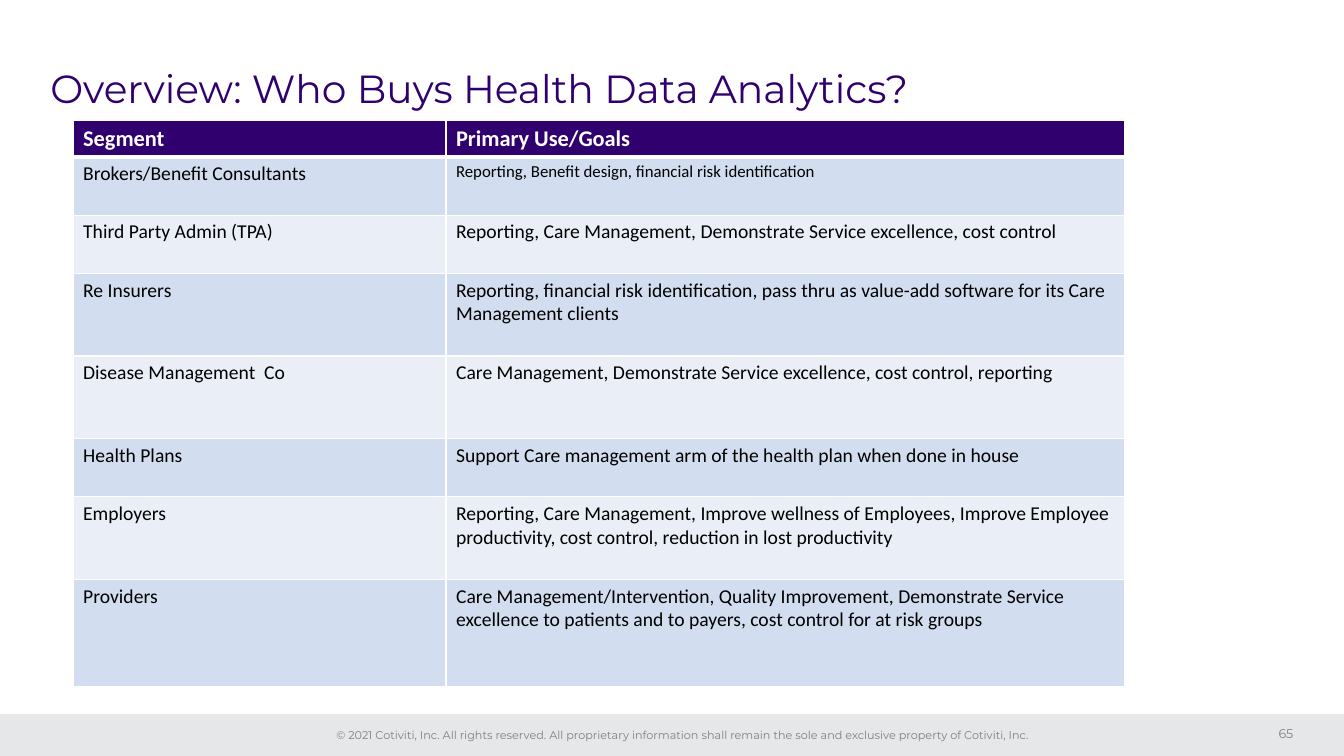
import dataclasses

import lxml.etree
import pptx
import pptx.dml.color
import pptx.enum.shapes
import pptx.enum.text
import pptx.oxml.ns
import pptx.util

Pt = pptx.util.Pt
Align = pptx.enum.text.PP_ALIGN
Anchor = pptx.enum.text.MSO_ANCHOR


@dataclasses.dataclass(frozen=True)
class Theme:
    purple: str = "30006F"
    white: str = "FFFFFF"
    black: str = "000000"
    gray: str = "808080"
    strip: str = "E6E7E8"
    bands: tuple = ("D2DEEF", "EAEFF7")
    display: str = "Montserrat"
    body: str = "Calibri"
    title: int = 28
    head: int = 16
    text: int = 14
    small: int = 12
    page: int = 9
    legal: int = 8


class Deck:
    def __init__(self, theme, width, height):
        self.theme = theme
        self.file = pptx.Presentation()
        self.file.slide_width, self.file.slide_height = Pt(width), Pt(height)
        self.slide = self.file.slides.add_slide(self.file.slide_layouts[6])

    def color(self, code):
        return pptx.dml.color.RGBColor.from_string(code)

    def style(self, frame, face, size, code, bold=False):
        for para in frame.paragraphs:
            for run in para.runs:
                font = run.font
                font.name, font.size, font.bold = face, Pt(size), bold
                font.color.rgb = self.color(code)

    def bar(self, box, code):
        shape = self.slide.shapes.add_shape(
            pptx.enum.shapes.MSO_SHAPE.RECTANGLE, *map(Pt, box))
        shape.shadow.inherit = False
        shape.fill.solid()
        shape.fill.fore_color.rgb = self.color(code)
        shape.line.fill.background()

    def label(self, box, text, size, code, align=Align.LEFT,
              anchor=Anchor.MIDDLE, inset=(0, 0), wrap=True, leading=None):
        """Add a text box; inset gives the side and the top margins."""
        frame = self.slide.shapes.add_textbox(*map(Pt, box)).text_frame
        frame.word_wrap = wrap
        frame.vertical_anchor = anchor
        frame.margin_left = frame.margin_right = Pt(inset[0])
        frame.margin_top = frame.margin_bottom = Pt(inset[1])
        frame.text = text
        frame.paragraphs[0].alignment = align
        frame.paragraphs[0].line_spacing = leading
        self.style(frame, self.theme.display, size, code)

    def border(self, cell, side, width):
        props = cell._tc.get_or_add_tcPr()
        name = pptx.oxml.ns.qn
        line = lxml.etree.SubElement(props, name("a:ln" + side), w=str(Pt(width)))
        fill = lxml.etree.SubElement(line, name("a:solidFill"))
        lxml.etree.SubElement(fill, name("a:srgbClr"), val=self.theme.white)

    def cell(self, cell, text, row, size):
        """Fill one table cell; row 0 is the heading row."""
        theme = self.theme
        head = row == 0
        for side in "LRTB":
            thick = (row, side) in ((0, "B"), (1, "T"))
            self.border(cell, side, 3 if thick else 1)
        cell.fill.solid()
        cell.fill.fore_color.rgb = self.color(
            theme.purple if head else theme.bands[(row - 1) % 2])
        cell.text_frame.text = text
        self.style(cell.text_frame, theme.body, size,
                   theme.white if head else theme.black, head)

    def table(self, left, top, widths, heights, rows, sizes):
        """Add a table; sizes maps (row, column) to an unusual type size."""
        theme = self.theme
        table = self.slide.shapes.add_table(
            len(rows), len(widths), Pt(left), Pt(top),
            Pt(sum(widths)), Pt(sum(heights))).table
        for column, width in zip(table.columns, widths):
            column.width = Pt(width)
        for r, (texts, height) in enumerate(zip(rows, heights)):
            table.rows[r].height = Pt(height)
            base = theme.text if r else theme.head
            for c, text in enumerate(texts):
                self.cell(table.cell(r, c), text, r, sizes.get((r, c), base))


ROWS = [
    ("Segment", "Primary Use/Goals"),
    ("Brokers/Benefit Consultants",
     "Reporting, Benefit design, financial risk identification"),
    ("Third Party Admin (TPA)",
     "Reporting, Care Management, Demonstrate Service excellence, cost control"),
    ("Re Insurers",
     "Reporting, financial risk identification, pass thru as value-add software "
     "for its Care Management clients"),
    ("Disease Management  Co",
     "Care Management, Demonstrate Service excellence, cost control, reporting"),
    ("Health Plans",
     "Support Care management arm of the health plan when done in house"),
    ("Employers",
     "Reporting, Care Management, Improve wellness of Employees, Improve Employee "
     "productivity, cost control, reduction in lost productivity"),
    ("Providers",
     "Care Management/Intervention, Quality Improvement, Demonstrate Service "
     "excellence to patients and to payers, cost control for at risk groups"),
]
LEGAL = ("© 2021 Cotiviti, Inc. All rights reserved. All proprietary information "
         "shall remain the sole and exclusive property of Cotiviti, Inc.")


def main():
    theme = Theme()
    deck = Deck(theme, 960, 540)
    deck.bar((0, 510, 960, 30), theme.strip)
    deck.label((231, 517, 514, 17), LEGAL, theme.legal, theme.gray,
               Align.CENTER, Anchor.TOP, (7.2, 3.6), wrap=False)
    deck.label((885.6, 513.4, 38.2, 21.6), "65", theme.page, theme.gray,
               Align.RIGHT)
    deck.label((36, 28.8, 888, 72), "Overview: Who Buys Health Data Analytics?",
               theme.title, theme.purple, leading=0.9)
    low, mid, high = 41.6, 59, 76.4
    deck.table(52.2, 85.7, (266.4, 484.6),
               (24, low, low, mid, mid, low, mid, high),
               ROWS, {(1, 1): theme.small})
    deck.file.save("out.pptx")


if __name__ == "__main__":
    main()
